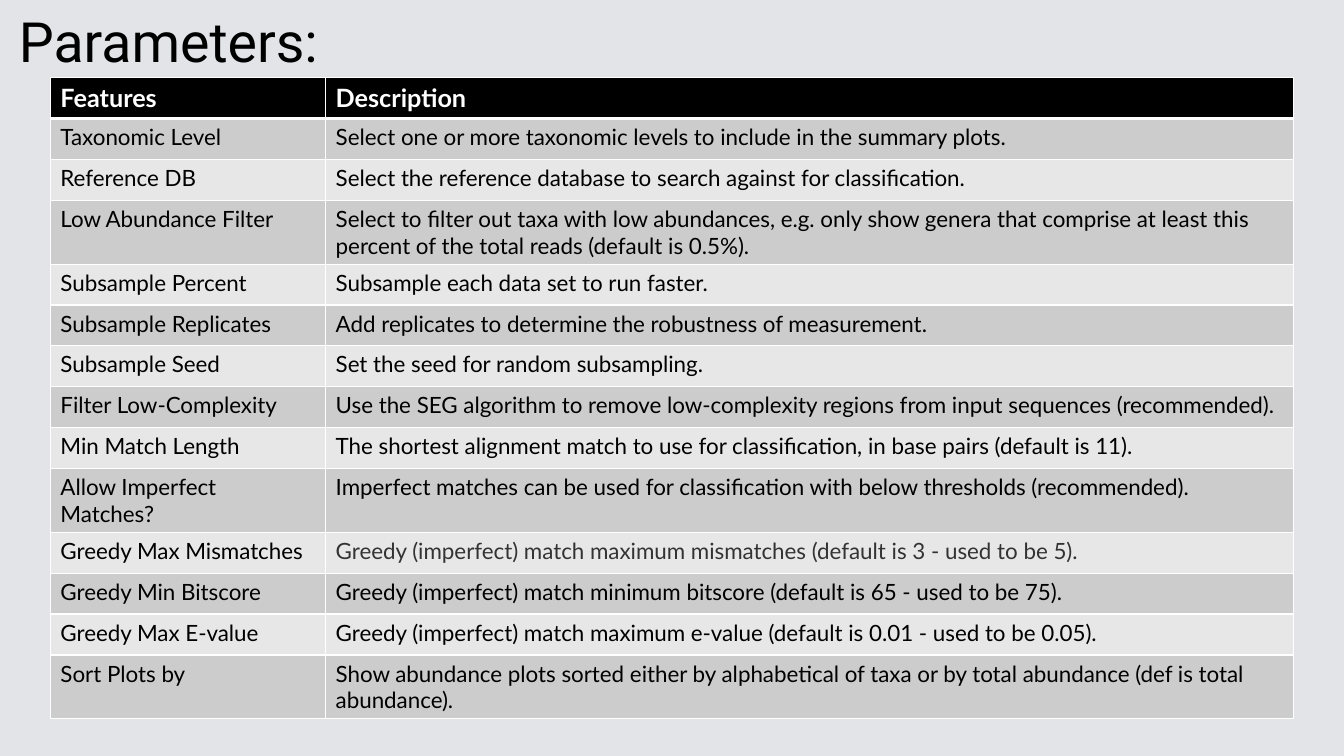
from lxml.etree import SubElement
from pptx import Presentation
from pptx.dml.color import RGBColor
from pptx.enum.text import MSO_ANCHOR
from pptx.oxml.ns import qn
from pptx.util import Inches, Pt

HEADER = ("Features", "Description")
PARAMETERS = [
    ("Taxonomic Level", "Select one or more taxonomic levels to include in the summary plots."),
    ("Reference DB", "Select the reference database to search against for classification."),
    ("Low Abundance Filter", "Select to filter out taxa with low abundances, e.g. only show genera "
     "that comprise at least this percent of the total reads (default is 0.5%)."),
    ("Subsample Percent", "Subsample each data set to run faster."),
    ("Subsample Replicates", "Add replicates to determine the robustness of measurement."),
    ("Subsample Seed", "Set the seed for random subsampling."),
    ("Filter Low-Complexity", "Use the SEG algorithm to remove low-complexity regions from input "
     "sequences (recommended)."),
    ("Min Match Length", "The shortest alignment match to use for classification, in base pairs "
     "(default is 11)."),
    ("Allow Imperfect Matches?", "Imperfect matches can be used for classification with below "
     "thresholds (recommended)."),
    ("Greedy Max Mismatches", "Greedy (imperfect) match maximum mismatches (default is 3 - used to be 5)."),
    ("Greedy Min Bitscore", "Greedy (imperfect) match minimum bitscore (default is 65 - used to be 75)."),
    ("Greedy Max E-value", "Greedy (imperfect) match maximum e-value (default is 0.01 - used to be 0.05)."),
    ("Sort Plots by", "Show abundance plots sorted either by alphabetical of taxa or by total "
     "abundance (def is total abundance)."),
]
COLUMN_WIDTHS = (2.73, 9.6)
ROW_HEIGHT = 29.2 / 72
LAST_ROW_HEIGHT = 0.58
GREY_CELL = (10, 1)


def color(value):
    return RGBColor.from_string(value)


class SlideBuilder:
    TITLE_FONT = "Roboto"
    BODY_FONT = "Lato"
    BACKGROUND = "E2E4E8"
    BLACK, WHITE, GREY = "000000", "FFFFFF", "333333"
    BANDS = ("CCCCCC", "E7E7E7")

    def __init__(self, presentation):
        self.slide = presentation.slides.add_slide(presentation.slide_layouts[6])
        fill = self.slide.background.fill
        fill.solid()
        fill.fore_color.rgb = color(self.BACKGROUND)

    def add_text(self, frame, text, font_name, size, text_color, bold=False):
        run = frame.paragraphs[0].add_run()
        run.text = text
        run.font.name = font_name
        run.font.size = Pt(size)
        run.font.bold = bold
        run.font.color.rgb = color(text_color)

    def title(self, text, left, top, width, height):
        box = self.slide.shapes.add_textbox(Inches(left), Inches(top), Inches(width), Inches(height))
        frame = box.text_frame
        frame.word_wrap = True
        frame.vertical_anchor = MSO_ANCHOR.MIDDLE
        self.add_text(frame, text, self.TITLE_FONT, 39.6, self.BLACK)

    def border(self, cell, side, points):
        """Add a white border; call before the cell's fill is set."""
        line = SubElement(cell._tc.get_or_add_tcPr(), qn(f"a:{side}"), w=str(Pt(points)))
        SubElement(SubElement(line, qn("a:solidFill")), qn("a:srgbClr"), val=self.WHITE)

    def cell(self, cell, text, row, text_color):
        is_header = row == 0
        widths = {"lnL": 1, "lnR": 1, "lnT": 3 if row == 1 else 1, "lnB": 3 if is_header else 1}
        for side, points in widths.items():
            self.border(cell, side, points)
        cell.fill.solid()
        cell.fill.fore_color.rgb = color(self.BLACK if is_header else self.BANDS[(row - 1) % 2])
        self.add_text(cell.text_frame, text, self.BODY_FONT, 18 if is_header else 16,
                      self.WHITE if is_header else text_color, is_header)

    def table(self, rows, left, top):
        heights = [ROW_HEIGHT] * (len(rows) - 1) + [LAST_ROW_HEIGHT]
        table = self.slide.shapes.add_table(
            len(rows), len(COLUMN_WIDTHS), Inches(left), Inches(top),
            Inches(sum(COLUMN_WIDTHS)), Inches(sum(heights))).table
        for column, width in zip(table.columns, COLUMN_WIDTHS):
            column.width = Inches(width)
        for row, (texts, height) in enumerate(zip(rows, heights)):
            table.rows[row].height = Inches(height)
            for column, text in enumerate(texts):
                text_color = self.GREY if (row, column) == GREY_CELL else self.BLACK
                self.cell(table.cell(row, column), text, row, text_color)


def main():
    presentation = Presentation()
    presentation.slide_width = Inches(13.33)
    presentation.slide_height = Inches(7.5)
    builder = SlideBuilder(presentation)
    builder.title("Parameters:", 0.09, 0.07, 11.74, 0.66)
    builder.table([HEADER, *PARAMETERS], 0.5, 0.77)
    presentation.save("out.pptx")


if __name__ == "__main__":
    main()
